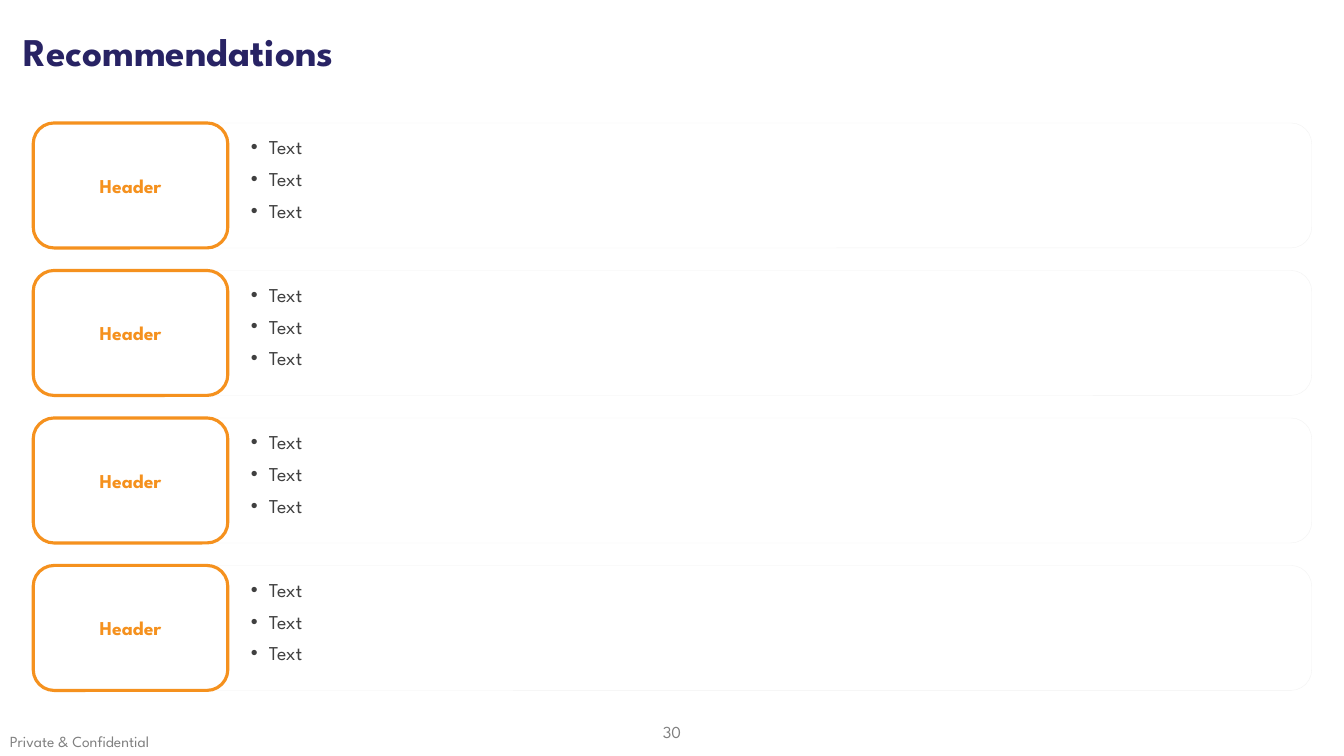
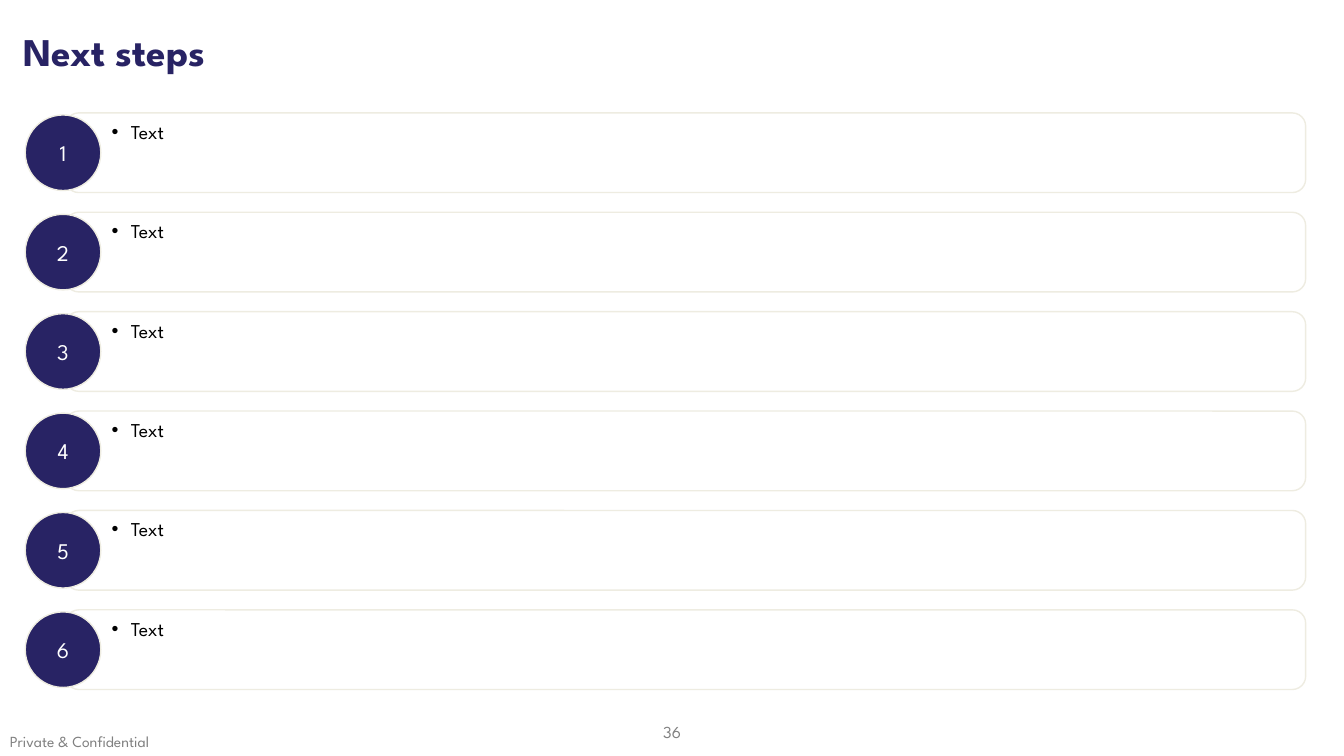
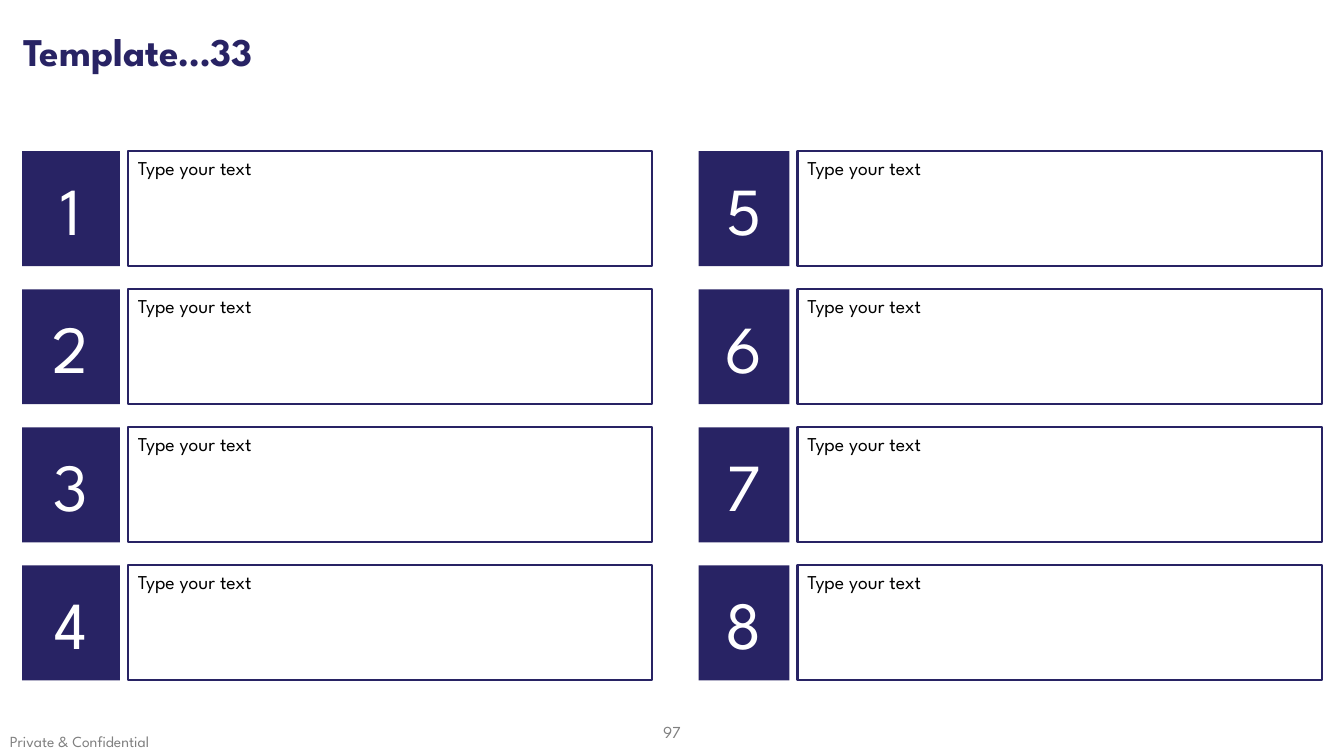
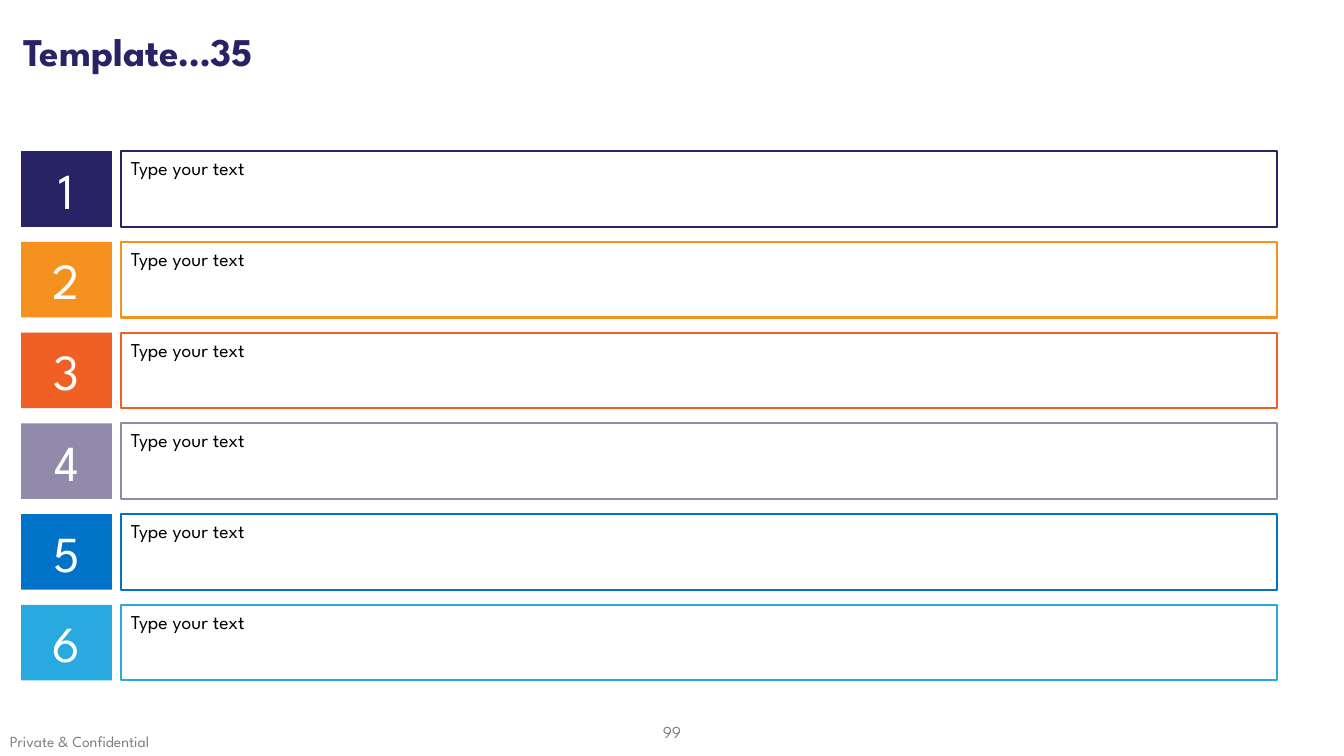
from dataclasses import dataclass

from lxml.etree import SubElement
from pptx import Presentation
from pptx.dml.color import RGBColor
from pptx.enum.shapes import MSO_SHAPE
from pptx.enum.text import MSO_ANCHOR, MSO_AUTO_SIZE, PP_ALIGN
from pptx.oxml.ns import qn
from pptx.util import Inches, Pt


@dataclass(frozen=True)
class Theme:
    font: str = "League Spartan"
    navy: str = "282364"
    amber: str = "F5911E"
    orange: str = "F05F23"
    mauve: str = "918AAA"
    blue: str = "0073C8"
    sky: str = "28AAE1"
    white: str = "FFFFFF"
    black: str = "000000"
    charcoal: str = "404040"
    gray: str = "808080"
    pale_gray: str = "F2F2F2"
    cream: str = "EEECE1"
    title: int = 28
    body: int = 14
    footer: int = 11
    page: int = 12
    step: int = 16
    tile: int = 36
    large_tile: int = 48


THEME = Theme()


def apply_format(target, values):
    for name, value in values.items():
        setattr(target, name, value)


def place(shape, left, top, width, height):
    box = {"left": left, "top": top, "width": width, "height": height}
    apply_format(shape, {name: Inches(value) for name, value in box.items()})


def add_bullet(paragraph, indent, hanging):
    properties = paragraph._p.get_or_add_pPr()
    properties.set("marL", str(Inches(indent)))
    properties.set("indent", str(-Inches(hanging)))
    SubElement(properties, qn("a:buFont"), typeface="Arial")
    SubElement(properties, qn("a:buChar"), char="•")


def write(shape, lines, size, color, bold=False, align=PP_ALIGN.LEFT,
          anchor=MSO_ANCHOR.TOP, bullet=None, gap=0):
    frame = shape.text_frame
    apply_format(frame, {"word_wrap": True, "vertical_anchor": anchor})
    for index, line in enumerate(lines):
        paragraph = frame.add_paragraph() if index else frame.paragraphs[0]
        if bullet:
            add_bullet(paragraph, *bullet)
        paragraph.alignment = align
        if index and gap:
            paragraph.space_before = Pt(gap)
        run = paragraph.add_run()
        run.text = line
        apply_format(run.font, {"name": THEME.font, "size": Pt(size), "bold": bold})
        run.font.color.rgb = RGBColor.from_string(color)


def write_centered(shape, text, size, color, bold=False):
    write(shape, [text], size, color, bold, PP_ALIGN.CENTER, MSO_ANCHOR.MIDDLE)


def add_box(shapes, kind, box, fill=None, line=None, weight=1):
    shape = shapes.add_shape(kind, *map(Inches, box))
    shape.shadow.inherit = False
    if fill:
        shape.fill.solid()
        shape.fill.fore_color.rgb = RGBColor.from_string(fill)
    else:
        shape.fill.background()
    if line:
        shape.line.color.rgb = RGBColor.from_string(line)
        shape.line.width = Pt(weight)
    else:
        shape.line.fill.background()
    return shape


def add_text(shapes, box, lines, size, color, **options):
    shape = shapes.add_textbox(*map(Inches, box))
    write(shape, lines, size, color, **options)
    return shape


def add_slide(presentation, title, page):
    slide = presentation.slides.add_slide(presentation.slide_layouts[5])
    heading = slide.shapes.title
    place(heading, 0, 0.01, 13.33, 1.05)
    write(heading, [title], THEME.title, THEME.navy, bold=True, anchor=MSO_ANCHOR.MIDDLE)
    heading.text_frame.auto_size = MSO_AUTO_SIZE.NONE
    paragraph = heading.text_frame.paragraphs[0]
    paragraph.line_spacing = 0.9
    paragraph._p.get_or_add_pPr().set("marL", str(Inches(0.13)))
    add_text(slide.shapes, (6.37, 7.06, 0.59, 0.4), [str(page)], THEME.page, THEME.gray,
             align=PP_ALIGN.CENTER, anchor=MSO_ANCHOR.MIDDLE)
    add_text(slide.shapes, (0, 7.21, 3.32, 0.29), ["Private & Confidential"],
             THEME.footer, THEME.gray)
    return slide


def add_recommendation(slide, top, header, lines):
    shapes = slide.shapes.add_group_shape().shapes
    height = 1.24
    add_box(shapes, MSO_SHAPE.ROUNDED_RECTANGLE, (1.56, top, 11.45, height),
            line=THEME.pale_gray, weight=0.25)
    label = add_box(shapes, MSO_SHAPE.ROUNDED_RECTANGLE, (0.33, top, 1.93, height),
                    THEME.white, THEME.amber, 2.25)
    write_centered(label, header, THEME.body, THEME.amber, bold=True)
    add_text(shapes, (2.26, top + 0.07, 10.74, 0.82), lines, THEME.body, THEME.charcoal,
             bullet=(0.31, 0.18), gap=6)


def add_step(slide, top, number, text):
    shapes = slide.shapes.add_group_shape().shapes
    add_box(shapes, MSO_SHAPE.ROUNDED_RECTANGLE, (0.65, top, 12.3, 0.79), line=THEME.cream)
    badge = add_box(shapes, MSO_SHAPE.OVAL, (0.25, top + 0.02, 0.75, 0.75),
                    THEME.navy, THEME.cream)
    write_centered(badge, str(number), THEME.step, THEME.white)
    add_text(shapes, (1.01, top + 0.02, 7.93, 0.34), [text], THEME.body, THEME.black,
             bullet=(0.19, 0.19))


def add_numbered_box(slide, number, tile, panel, color, size):
    square = add_box(slide.shapes, MSO_SHAPE.RECTANGLE, tile, color)
    write_centered(square, str(number), size, THEME.white)
    outline = add_box(slide.shapes, MSO_SHAPE.RECTANGLE, panel, line=color, weight=1.5)
    write(outline, ["Type your text"], THEME.body, THEME.black)


def build_recommendations(presentation):
    slide = add_slide(presentation, "Recommendations", 30)
    for row in range(4):
        add_recommendation(slide, 1.22 + row * 4.39 / 3, "Header", ["Text"] * 3)


def build_next_steps(presentation):
    slide = add_slide(presentation, "Next steps", 36)
    for row in range(6):
        add_step(slide, 1.12 + row * 4.93 / 5, row + 1, "Text")


def build_two_columns(presentation):
    slide = add_slide(presentation, "Template…33", 97)
    rows, height = 4, 1.14
    columns = [(0.22, 0.97, 1.27), (6.93, 0.9, 7.91)]
    for column, (tile_left, tile_width, panel_left) in enumerate(columns):
        for row in range(rows):
            top = 1.5 + row * 1.37
            add_numbered_box(slide, column * rows + row + 1,
                             (tile_left, top, tile_width, height),
                             (panel_left, top, 5.2, height),
                             THEME.navy, THEME.large_tile)


def build_color_rows(presentation):
    slide = add_slide(presentation, "Template…35", 99)
    colors = [THEME.navy, THEME.amber, THEME.orange, THEME.mauve, THEME.blue, THEME.sky]
    for row, color in enumerate(colors):
        top = 1.5 + row * 0.9
        add_numbered_box(slide, row + 1, (0.21, top, 0.9, 0.75),
                         (1.2, top, 11.47, 0.75), color, THEME.tile)


def main():
    presentation = Presentation()
    presentation.slide_width = Inches(13.33)
    presentation.slide_height = Inches(7.5)
    build_recommendations(presentation)
    build_next_steps(presentation)
    build_two_columns(presentation)
    build_color_rows(presentation)
    presentation.save("out.pptx")


if __name__ == "__main__":
    main()
